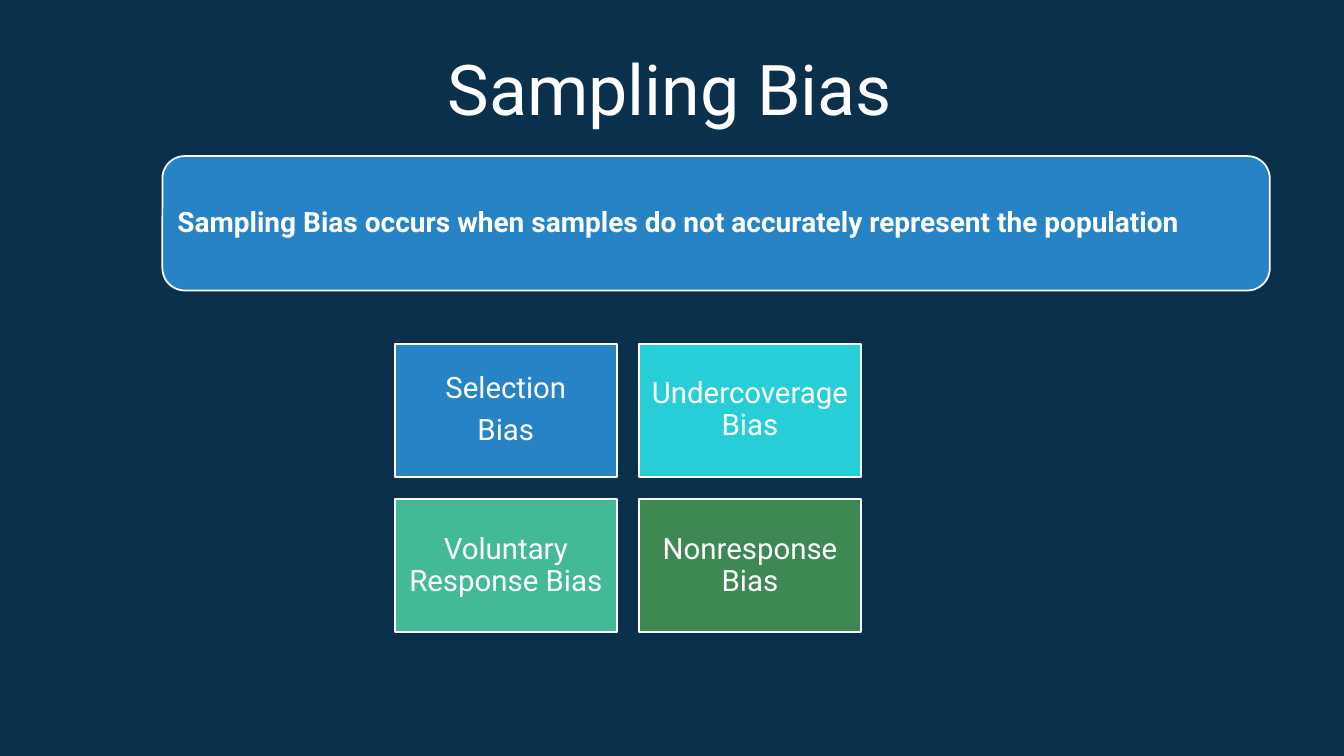
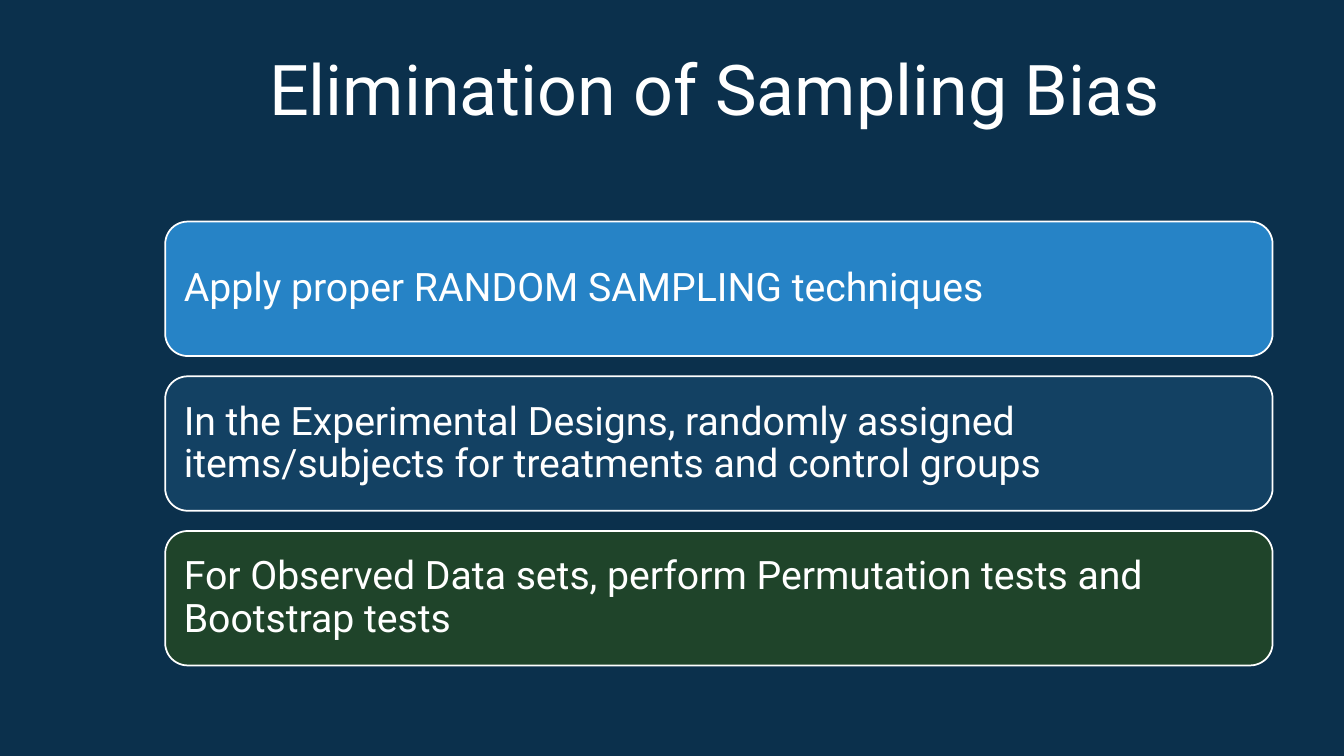
from pptx import Presentation
from pptx import util as u
from pptx.dml import color
from pptx.enum import shapes, text

PT = u.Pt
FONT = "Roboto"
NAVY, WHITE = "0B304C", "FFFFFF"
BLUE, CYAN, TEAL, GREEN = "2683C6", "27CED7", "42BA97", "3E8853"
DEEP_BLUE, DEEP_GREEN = "134163", "1F442A"
TITLE_ONLY = 5


def rgb(hex_code):
    return color.RGBColor.from_string(hex_code)


def write(frame, wording, size, bold=False, align=text.PP_ALIGN.LEFT,
          anchor=text.MSO_ANCHOR.MIDDLE, wrap=True, inset=None, spacing=None):
    """Fill a text frame, one paragraph per line of wording."""
    frame.auto_size = text.MSO_AUTO_SIZE.NONE
    frame.word_wrap = wrap
    frame.vertical_anchor = anchor
    if inset is not None:
        frame.margin_left = frame.margin_right = PT(inset)
        frame.margin_top = frame.margin_bottom = PT(inset)
    lines = wording.split("\n")
    for index, line in enumerate(lines):
        paragraph = frame.add_paragraph() if index else frame.paragraphs[0]
        paragraph.alignment = align
        if spacing:
            paragraph.line_spacing = spacing
        if index < len(lines) - 1:
            paragraph.space_after = PT(round(0.35 * size, 1))
        run = paragraph.add_run()
        run.text = line
        run.font.name = FONT
        run.font.size = PT(size)
        run.font.bold = bold
        run.font.color.rgb = rgb(WHITE)


class Deck:
    def __init__(self):
        self.prs = Presentation()
        self.prs.slide_width, self.prs.slide_height = PT(960), PT(540)
        background = self.prs.slide_master.background.fill
        background.solid()
        background.fore_color.rgb = rgb(NAVY)
        self.slide = None

    def new_slide(self, heading, left, width):
        self.slide = self.prs.slides.add_slide(self.prs.slide_layouts[TITLE_ONLY])
        title = self.slide.shapes.title
        title.left, title.top = PT(left), PT(28.8)
        title.width, title.height = PT(width), PT(67.5)
        write(title.text_frame, heading, 50, wrap=False,
              anchor=text.MSO_ANCHOR.TOP)

    def panel(self, kind, left, top, width, height, fill, wording, **style):
        """Draw a white-edged shape that carries its own text."""
        panel = self.slide.shapes.add_shape(
            kind, PT(left), PT(top), PT(width), PT(height))
        panel.shadow.inherit = False
        panel.fill.solid()
        panel.fill.fore_color.rgb = rgb(fill)
        panel.line.color.rgb = rgb(WHITE)
        panel.line.width = PT(1.25)
        write(panel.text_frame, wording, spacing=0.9, **style)

    def banner(self, left, top, fill, wording, **style):
        self.panel(shapes.MSO_SHAPE.ROUNDED_RECTANGLE, left, top, 791, 96,
                   fill, wording, **style)

    def tile(self, left, top, fill, wording):
        self.panel(shapes.MSO_SHAPE.RECTANGLE, left, top, 158.6, 95,
                   fill, wording, size=21, inset=6.3,
                   align=text.PP_ALIGN.CENTER)


def sampling_bias(deck):
    deck.new_slide("Sampling Bias", 312.5, 335.5)
    deck.banner(116, 111.5, BLUE,
                "Sampling Bias occurs when samples do not accurately "
                "represent the population", size=20, bold=True, inset=6)
    biases = [
        ("Selection\nBias", BLUE),
        ("Undercoverage Bias", CYAN),
        ("Voluntary Response Bias", TEAL),
        ("Nonresponse Bias", GREEN),
    ]
    for index, (bias, fill) in enumerate(biases):
        row, column = divmod(index, 2)
        deck.tile(282 + 174.4 * column, 245.5 + 111 * row, fill, bias)


def elimination(deck):
    deck.new_slide("Elimination of Sampling Bias", 185, 657.5)
    remedies = [
        ("Apply proper RANDOM SAMPLING techniques", BLUE),
        ("In the Experimental Designs, randomly assigned items/subjects "
         "for treatments and control groups", DEEP_BLUE),
        ("For Observed Data sets, perform Permutation tests and "
         "Bootstrap tests", DEEP_GREEN),
    ]
    for row, (remedy, fill) in enumerate(remedies):
        deck.banner(118, 158.3 + 110.5 * row, fill, remedy, size=28, inset=8.6)


def main():
    deck = Deck()
    sampling_bias(deck)
    elimination(deck)
    deck.prs.save("out.pptx")


if __name__ == "__main__":
    main()
